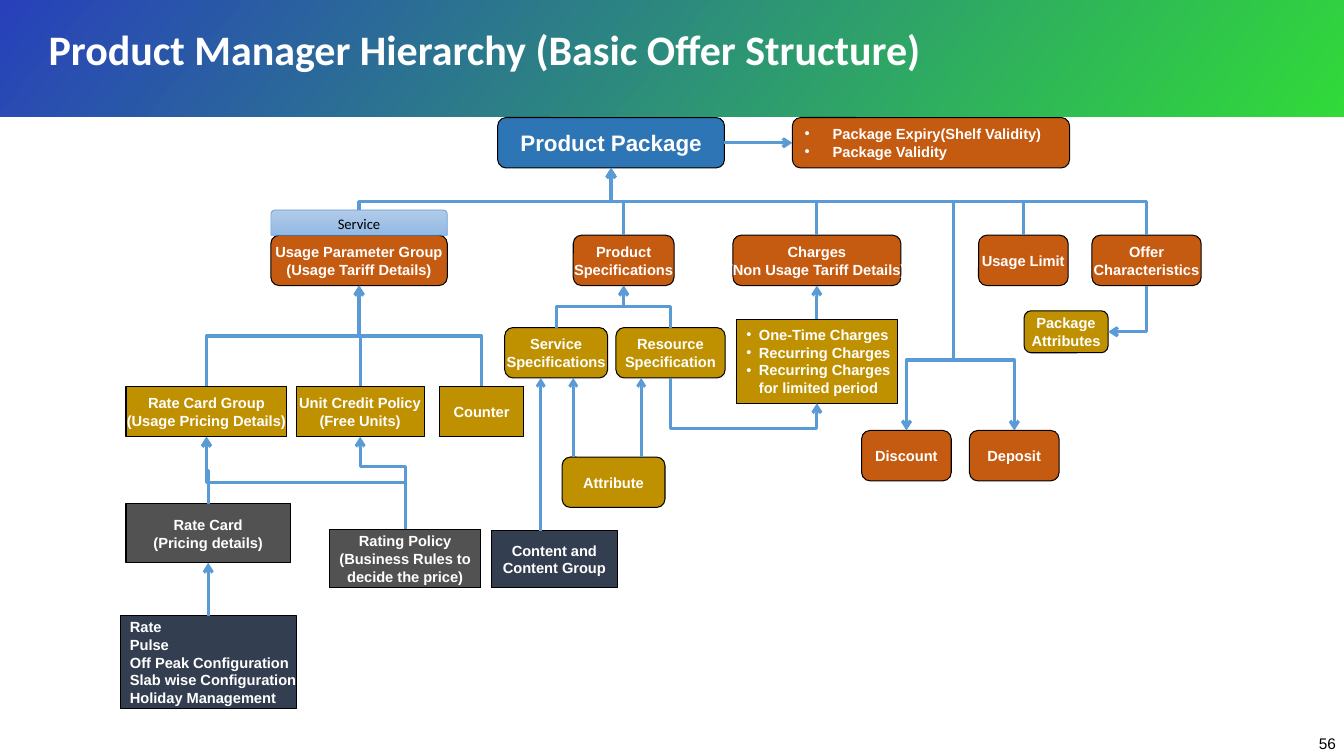
"""Build the Product Manager Hierarchy slide."""
from lxml import etree
from pptx import Presentation
from pptx.dml.color import RGBColor
from pptx.enum import shapes, text
from pptx.oxml import ns
from pptx.util import Pt

WHITE = RGBColor(0xFF, 0xFF, 0xFF)
BLACK = RGBColor(0, 0, 0)
BLUE = RGBColor(0x2E, 0x75, 0xB6)
LINE_BLUE = RGBColor(0x5B, 0x9B, 0xD5)
ORANGE = RGBColor(0xC5, 0x5A, 0x11)
GOLD = RGBColor(0xBF, 0x90, 0x00)
GREY = RGBColor(0x52, 0x52, 0x52)
NAVY = RGBColor(0x33, 0x3F, 0x50)
HEADER_BLUE = RGBColor(0x28, 0x41, 0xBB)
HEADER_GREEN = RGBColor(0x31, 0xDA, 0x39)
SERVICE_LIGHT = RGBColor(0xB1, 0xCB, 0xE9)
SERVICE_DARK = RGBColor(0x93, 0xB9, 0xE4)
RECTANGLE = shapes.MSO_SHAPE.RECTANGLE
ROUNDED = shapes.MSO_SHAPE.ROUNDED_RECTANGLE
LEFT, CENTER = text.PP_ALIGN.LEFT, text.PP_ALIGN.CENTER


def write(frame, content, size=10.5, font="Arial", color=WHITE, bold=True,
          align=CENTER, wrap=False, bullets=0, hanging=0):
    frame.word_wrap = wrap
    frame.vertical_anchor = text.MSO_ANCHOR.MIDDLE
    for index, line in enumerate(content.split("\n")):
        paragraph = frame.paragraphs[0] if index == 0 else frame.add_paragraph()
        properties = paragraph._p.get_or_add_pPr()
        if bullets:
            properties.set("marL", str(Pt(hanging)))
            properties.set("indent", str(Pt(-hanging) if index < bullets else 0))
        if index < bullets:
            etree.SubElement(properties, ns.qn("a:buFont"), typeface="Arial")
            etree.SubElement(properties, ns.qn("a:buChar"), char="•")
        paragraph.alignment = align
        run = paragraph.add_run()
        run.text = line
        run.font.size = Pt(size)
        run.font.name = font
        run.font.bold = bold
        run.font.color.rgb = color


def paint_gradient(shape, first, last, angle):
    shape.shadow.inherit = False
    shape.fill.gradient()
    shape.fill.gradient_angle = angle
    for stop, color in zip(shape.fill.gradient_stops, (first, last)):
        stop.color.rgb = color


presentation = Presentation()
presentation.slide_width, presentation.slide_height = Pt(960), Pt(540)
slide = presentation.slides.add_slide(presentation.slide_layouts[5])

header = slide.shapes.add_shape(RECTANGLE, 0, 0, Pt(960), Pt(83.5))
paint_gradient(header, HEADER_BLUE, HEADER_GREEN, 320)
header.line.fill.background()
slide.shapes._spTree.insert(2, header._element)

title = slide.shapes.title
title.left, title.top, title.width, title.height = Pt(27.5), Pt(6.5), Pt(734), Pt(61)
write(title.text_frame, "Product Manager Hierarchy (Basic Offer Structure)",
      size=30, font="Calibri", align=LEFT, wrap=True)
title.text_frame.paragraphs[0].line_spacing = 0.9

number = slide.shapes.add_textbox(Pt(942), Pt(522), Pt(18), Pt(18))
number.text_frame.margin_left = number.text_frame.margin_right = 0
number.text_frame.margin_top = number.text_frame.margin_bottom = 0
write(number.text_frame, "56", size=11, color=BLACK, bold=False, align=LEFT, wrap=True)

BOXES = [
    ("package", ROUNDED, BLUE, 355.5, 84, 162, 36, "Product Package", {"size": 16}),
    ("validity", ROUNDED, ORANGE, 566, 84, 198, 36,
     "Package Expiry(Shelf Validity)\nPackage Validity",
     {"align": LEFT, "bullets": 2, "hanging": 20}),
    ("usage", ROUNDED, ORANGE, 193.5, 168, 126, 36,
     "Usage Parameter Group\n(Usage Tariff Details)", {}),
    ("product", ROUNDED, ORANGE, 409.5, 168, 72, 36, "Product\nSpecifications", {}),
    ("charges", ROUNDED, ORANGE, 523.5, 168, 120, 36,
     "Charges\n(Non Usage Tariff Details)", {}),
    ("limit", ROUNDED, ORANGE, 699, 168, 64, 36, "Usage Limit", {}),
    ("offer", ROUNDED, ORANGE, 780, 168, 78, 36, "Offer\nCharacteristics", {}),
    ("service spec", ROUNDED, GOLD, 360.5, 234, 73.5, 36, "Service\nSpecifications", {}),
    ("resource spec", ROUNDED, GOLD, 440, 234, 78, 36, "Resource\nSpecification", {}),
    ("charge types", RECTANGLE, GOLD, 526, 228, 115, 60,
     "One-Time Charges\nRecurring Charges\nRecurring Charges\nfor limited period",
     {"align": LEFT, "bullets": 3, "hanging": 9}),
    ("attributes", ROUNDED, GOLD, 731.5, 222, 60, 30, "Package\nAttributes", {}),
    ("card group", RECTANGLE, GOLD, 90, 276, 115, 36,
     "Rate Card Group\n(Usage Pricing Details)", {}),
    ("credit", RECTANGLE, GOLD, 211.5, 276, 91.5, 36, "Unit Credit Policy\n(Free Units)", {}),
    ("counter", RECTANGLE, GOLD, 314, 276, 60, 36, "Counter", {}),
    ("discount", ROUNDED, ORANGE, 615.5, 307.5, 64, 36, "Discount", {}),
    ("deposit", ROUNDED, ORANGE, 692.5, 307.5, 64, 36, "Deposit", {}),
    ("attribute", ROUNDED, GOLD, 401.5, 326.5, 73.5, 36, "Attribute", {}),
    ("rate card", RECTANGLE, GREY, 90, 360, 117.5, 42, "Rate Card\n(Pricing details)", {}),
    ("rating", RECTANGLE, GREY, 235.5, 378, 108, 42,
     "Rating Policy\n(Business Rules to\ndecide the price)", {}),
    ("content", RECTANGLE, NAVY, 351, 379, 90, 41, "Content and\nContent Group", {}),
    ("rate", RECTANGLE, NAVY, 85.75, 440, 126, 66,
     "Rate\nPulse\nOff Peak Configuration\nSlab wise Configuration\nHoliday Management",
     {"align": LEFT}),
]
boxes, top, bottom = {}, {}, {}
for name, kind, color, x, y, width, height, content, style in BOXES:
    box = slide.shapes.add_shape(kind, Pt(x), Pt(y), Pt(width), Pt(height))
    box.shadow.inherit = False
    box.fill.solid()
    box.fill.fore_color.rgb = color
    box.line.color.rgb = BLACK
    box.line.width = Pt(0.75)
    write(box.text_frame, content, **style)
    boxes[name] = box
    top[name] = (x + width / 2, y)
    bottom[name] = (x + width / 2, y + height)

routes = [(top[child], bottom[parent], bend) for child, parent, bend in [
    ("usage", "package", 0.5), ("product", "package", 0.5), ("charges", "package", 0.5),
    ("limit", "package", 0.5), ("offer", "package", 0.5),
    ("card group", "usage", 0.5), ("credit", "usage", 0.5), ("counter", "usage", 0.5),
    ("service spec", "product", 0.5), ("resource spec", "product", 0.5),
    ("rate card", "card group", 0.5), ("rating", "card group", 0.5),
    ("rating", "credit", 0.68)]]
routes += [((681, 145), top[name], 0.69) for name in ("discount", "deposit")]
routes += [(bottom["resource spec"], bottom["charge types"], 2),
           (bottom["offer"], (791.5, 237), None)]

connectors = []
for (x1, y1), (x2, y2), bend in routes:
    length, spread = abs(y2 - y1), abs(x2 - x1)
    left, upper = (x1 + x2 - length) / 2, (y1 + y2 - spread) / 2
    connector = slide.shapes.add_connector(
        shapes.MSO_CONNECTOR.ELBOW, Pt(left), Pt(upper), Pt(left + length), Pt(upper + spread))
    properties = connector._element.spPr
    frame = properties.find(ns.qn("a:xfrm"))
    frame.set("rot", str((90 if y2 > y1 else 270) * 60000))
    if (x2 > x1) == (y2 > y1):
        frame.set("flipV", "1")
    geometry = properties.find(ns.qn("a:prstGeom"))
    if bend is None:
        geometry.set("prst", "bentConnector2")
    else:
        etree.SubElement(geometry.find(ns.qn("a:avLst")), ns.qn("a:gd"),
                         name="adj1", fmla=f"val {round(bend * 100000)}")
    connectors.append((connector, 2.25))

for start, start_side, end, end_side in [("package", 3, "validity", 1),
                                         ("charge types", 0, "charges", 2),
                                         ("rate", 0, "rate card", 2)]:
    connector = slide.shapes.add_connector(shapes.MSO_CONNECTOR.STRAIGHT, 0, 0, 0, 0)
    connector.begin_connect(boxes[start], start_side)
    connector.end_connect(boxes[end], end_side)
    connectors.append((connector, 2.25))

for x, y in [(386.25, 379), (409.5, 326.5), (458, 326.5)]:
    connector = slide.shapes.add_connector(
        shapes.MSO_CONNECTOR.STRAIGHT, Pt(x), Pt(y), Pt(x), Pt(270))
    connectors.append((connector, 2))

for connector, weight in connectors:
    connector.line.color.rgb = LINE_BLUE
    connector.line.width = Pt(weight)
    etree.SubElement(connector.line._get_or_add_ln(), ns.qn("a:tailEnd"), type="arrow")
    etree.SubElement(connector._element.spPr, ns.qn("a:effectLst"))

service = slide.shapes.add_shape(shapes.MSO_SHAPE.ROUND_2_SAME_RECTANGLE,
                                 Pt(193.5), Pt(150), Pt(126), Pt(18))
paint_gradient(service, SERVICE_LIGHT, SERVICE_DARK, 270)
service.line.color.rgb = LINE_BLUE
service.line.width = Pt(0.5)
service.text_frame.margin_top = service.text_frame.margin_bottom = 0
write(service.text_frame, "Service", font="Calibri", color=BLACK, bold=False, wrap=True)

presentation.save("out.pptx")
